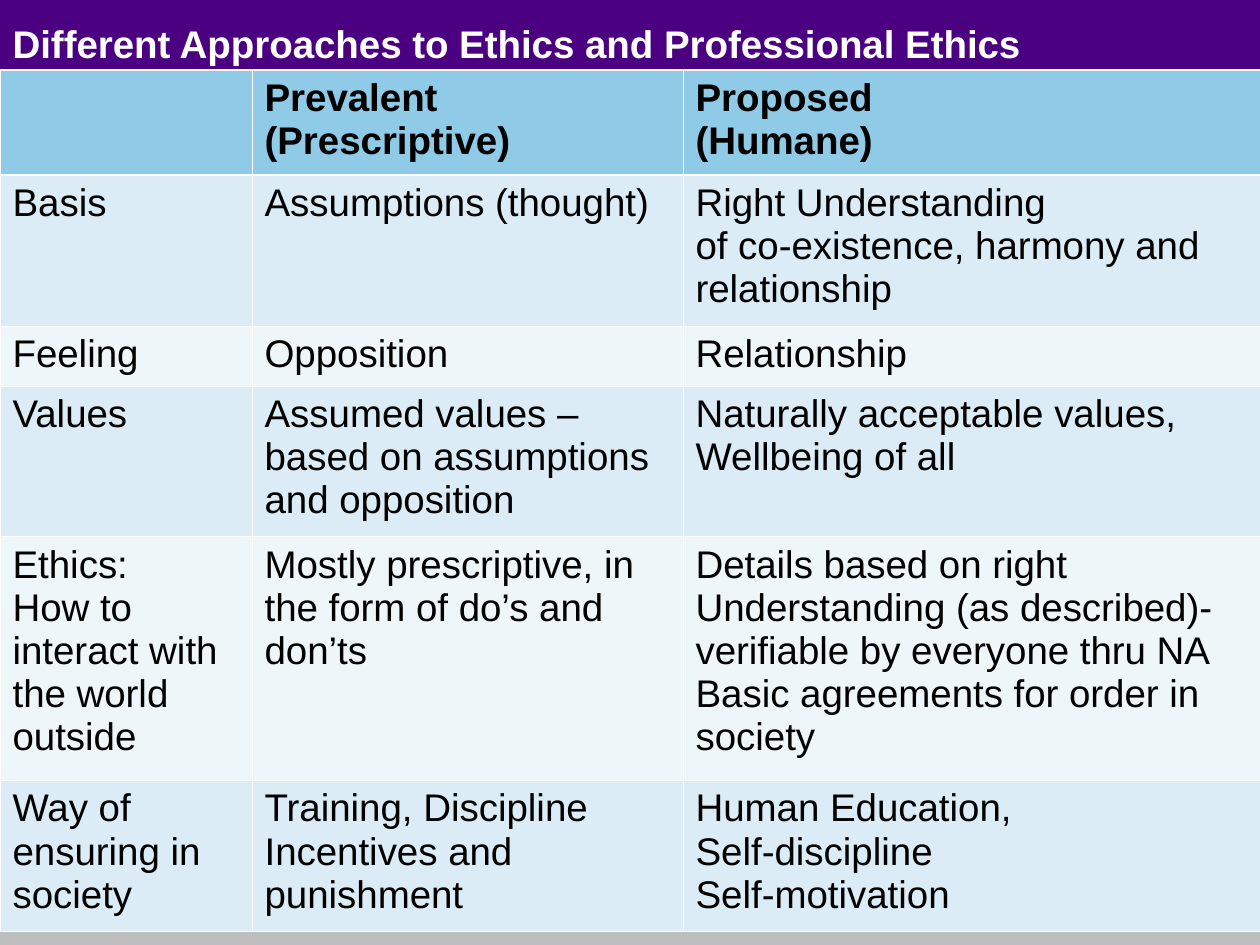
from dataclasses import dataclass

from lxml.etree import SubElement
from pptx import Presentation
from pptx.dml.color import RGBColor
from pptx.enum.shapes import MSO_SHAPE
from pptx.enum.text import MSO_ANCHOR, MSO_AUTO_SIZE, PP_ALIGN
from pptx.oxml.ns import qn
from pptx.util import Emu, Pt

PX_PER_INCH = 126


@dataclass(frozen=True)
class Theme:
    """Colours, font and sizes of the slide."""

    font: str = "Arial"
    size: int = 22
    text: str = "000000"
    title: str = "FFFFFF"
    band: str = "4B0082"
    footer: str = "BEBEBE"
    header: str = "8FCAE7"
    stripes: tuple = ("DBECF6", "EEF6FA")
    rule: str = "FFFFFF"
    thin: float = 0.45
    thick: float = 1.47


def px(length):
    """Turn pixels into EMU."""
    return Emu(round(length * 914400 / PX_PER_INCH))


def write(frame, text, *, font, size, color, bold=False):
    """Fill a text frame, one paragraph for each line of text."""
    frame.word_wrap = True
    frame.text = text
    for paragraph in frame.paragraphs:
        paragraph.alignment = PP_ALIGN.LEFT
        paragraph.font.name = font
        paragraph.font.size = Pt(size)
        paragraph.font.bold = bold
        paragraph.font.color.rgb = RGBColor.from_string(color)


class Deck:
    """Holds the theme and the current slide."""

    def __init__(self, theme, width, height):
        """Start a presentation with one titled slide."""
        self.theme = theme
        self.presentation = Presentation()
        self.presentation.slide_width = px(width)
        self.presentation.slide_height = px(height)
        self.slide = self.presentation.slides.add_slide(
            self.presentation.slide_layouts[5])

    def band(self, left, top, width, height, color):
        """Draw a plain filled strip."""
        strip = self.slide.shapes.add_shape(
            MSO_SHAPE.RECTANGLE, px(left), px(top), px(width), px(height))
        strip.shadow.inherit = False
        strip.fill.solid()
        strip.fill.fore_color.rgb = RGBColor.from_string(color)
        strip.line.fill.background()

    def title(self, text, left, top, width, height):
        """Place the title in front of the strips."""
        heading = self.slide.shapes.title
        heading.element.getparent().append(heading.element)
        heading.left, heading.top = px(left), px(top)
        heading.width, heading.height = px(width), px(height)
        frame = heading.text_frame
        frame.auto_size = MSO_AUTO_SIZE.NONE
        frame.vertical_anchor = MSO_ANCHOR.TOP
        frame.margin_top, frame.margin_bottom = px(10), 0
        write(frame, text, font=self.theme.font, size=self.theme.size,
              color=self.theme.title, bold=True)

    def borders(self, cell, **widths):
        """Rule the four sides of a cell, thin unless a width is given."""
        properties = cell._tc.get_or_add_tcPr()
        for side in "LRTB":
            width = Pt(widths.get(side, self.theme.thin))
            line = SubElement(properties, qn(f"a:ln{side}"), w=str(int(width)))
            fill = SubElement(line, qn("a:solidFill"))
            SubElement(fill, qn("a:srgbClr"), val=self.theme.rule)

    def table(self, rows, left, top, widths, heights):
        """Draw a table with a bold header and striped rows."""
        theme = self.theme
        grid = self.slide.shapes.add_table(
            len(rows), len(widths), px(left), px(top),
            px(sum(widths)), px(sum(heights))).table
        for column, width in zip(grid.columns, widths):
            column.width = px(width)
        for r, (entries, height) in enumerate(zip(rows, heights)):
            grid.rows[r].height = px(height)
            color = theme.stripes[(r - 1) % 2] if r else theme.header
            edge = {0: {"B": theme.thick}, 1: {"T": theme.thick}}.get(r, {})
            for c, entry in enumerate(entries):
                cell = grid.cell(r, c)
                self.borders(cell, **edge)
                cell.fill.solid()
                cell.fill.fore_color.rgb = RGBColor.from_string(color)
                write(cell.text_frame, entry, font=theme.font, size=theme.size,
                      color=theme.text, bold=r == 0)


APPROACHES = [
    ("", "Prevalent (Prescriptive)", "Proposed\n(Humane)"),
    ("Basis", "Assumptions (thought)",
     "Right Understanding\nof co-existence, harmony and relationship"),
    ("Feeling", "Opposition", "Relationship"),
    ("Values", "Assumed values –\nbased on assumptions and opposition",
     "Naturally acceptable values,\nWellbeing of all"),
    ("Ethics:\vHow to interact with the world outside",
     "Mostly prescriptive, in the form of do’s and don’ts",
     "Details based on right\n"
     "Understanding (as described)- verifiable by everyone thru NA\n"
     "Basic agreements for order in society"),
    ("Way of ensuring in society",
     "Training, Discipline\nIncentives and punishment",
     "Human Education,\nSelf-discipline\nSelf-motivation"),
]


def main():
    """Build and save the slide."""
    theme = Theme()
    deck = Deck(theme, 1260, 945)
    deck.band(0, 0, 1260, 69, theme.band)
    deck.band(0, 906, 1260, 39, theme.footer)
    deck.title("Different Approaches to Ethics and Professional Ethics",
               0, 10, 1260, 53)
    deck.table(APPROACHES, 0, 70, widths=(252, 431, 577),
               heights=(105, 151, 60, 151, 244, 151))
    deck.presentation.save("out.pptx")


if __name__ == "__main__":
    main()
